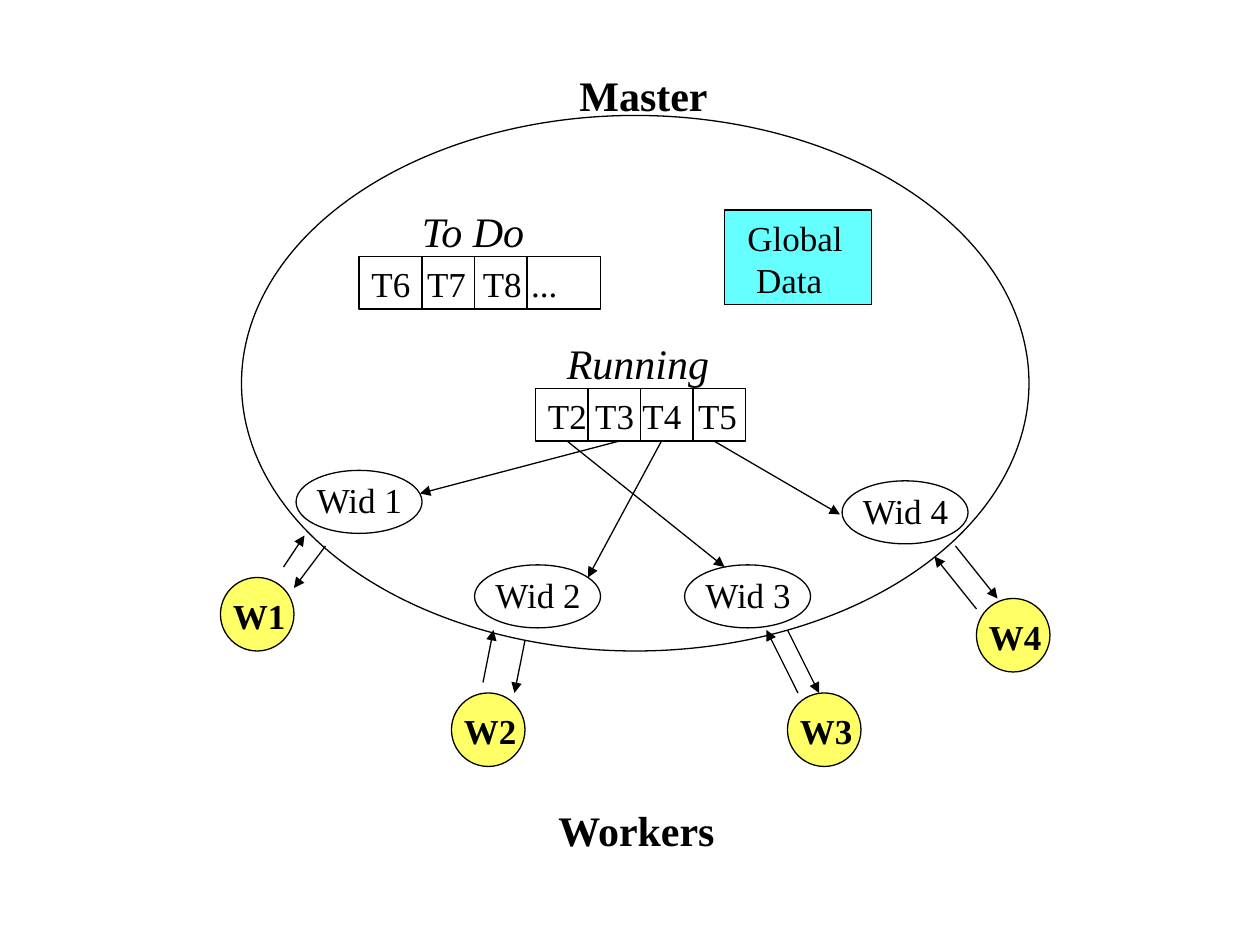
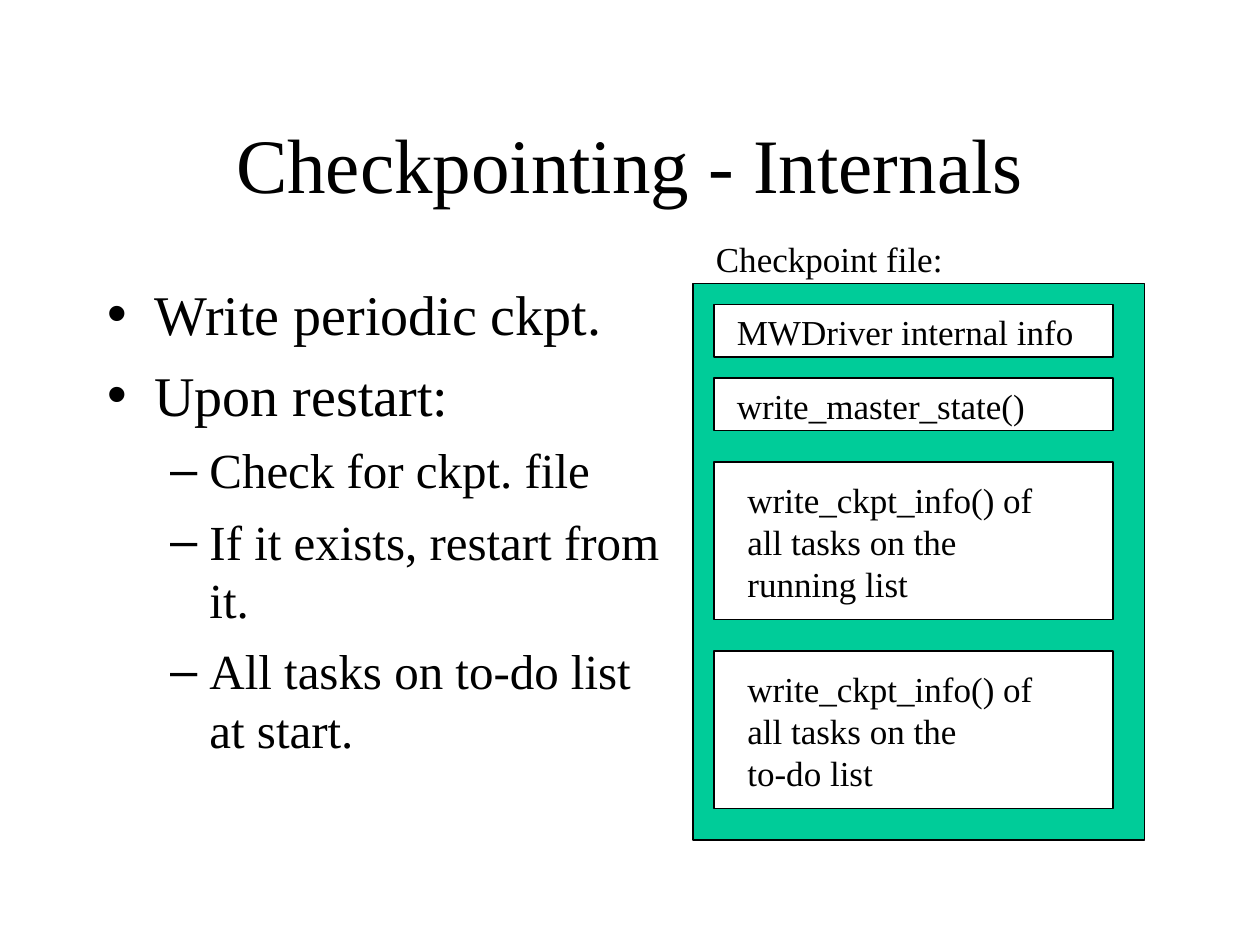
import pptx
import pptx.util
import pptx.dml.color
import pptx.enum.shapes
import pptx.enum.text
import pptx.oxml
import pptx.oxml.ns

BLACK = pptx.dml.color.RGBColor(0x00, 0x00, 0x00)
WHITE = pptx.dml.color.RGBColor(0xFF, 0xFF, 0xFF)
CYAN = pptx.dml.color.RGBColor(0x66, 0xFF, 0xFF)
YELLOW = pptx.dml.color.RGBColor(0xFF, 0xFF, 0x66)
GREEN = pptx.dml.color.RGBColor(0x00, 0xCC, 0x99)
FONT = "Times New Roman"
RECT = pptx.enum.shapes.MSO_SHAPE.RECTANGLE
OVAL = pptx.enum.shapes.MSO_SHAPE.OVAL
LINE_WIDTH = pptx.util.Pt(0.75)


def grid(*cells):
    """Lengths on a grid of twelve cells to the inch: 120 columns, 90 rows."""
    return [pptx.util.Inches(cell / 12) for cell in cells]


def add_run(paragraph, text, size, bold=False, italic=False):
    run = paragraph.add_run()
    run.text = text
    run.font.name = FONT
    run.font.size = pptx.util.Pt(size)
    run.font.bold = bold
    run.font.italic = italic
    run.font.color.rgb = BLACK


def add_label(slide, left, top, width, lines, size=20, **style):
    height = 1.2 + len(lines) * size * 0.2
    label = slide.shapes.add_textbox(*grid(left, top, width, height))
    frame = label.text_frame
    frame.word_wrap = True
    frame.auto_size = pptx.enum.text.MSO_AUTO_SIZE.SHAPE_TO_FIT_TEXT
    for number, line in enumerate(lines):
        paragraph = frame.add_paragraph() if number else frame.paragraphs[0]
        add_run(paragraph, line, size, **style)
    return frame


def add_outline(slide, kind, left, top, width, height, fill=None):
    outline = slide.shapes.add_shape(kind, *grid(left, top, width, height))
    outline.shadow.inherit = False
    if fill is None:
        outline.fill.background()
    else:
        outline.fill.solid()
        outline.fill.fore_color.rgb = fill
    outline.line.color.rgb = BLACK
    outline.line.width = LINE_WIDTH


def add_line(slide, start, end, arrow=False):
    line = slide.shapes.add_connector(
        pptx.enum.shapes.MSO_CONNECTOR.STRAIGHT, *grid(*start, *end))
    line.line.color.rgb = BLACK
    line.line.width = LINE_WIDTH
    if arrow:
        line.line._get_or_add_ln().append(pptx.oxml.parse_xml(
            f'<a:tailEnd {pptx.oxml.ns.nsdecls("a")} type="triangle"/>'))
    line._element.spPr.append(pptx.oxml.parse_xml(
        f'<a:effectLst {pptx.oxml.ns.nsdecls("a")}/>'))


def add_task_list(slide, left, top, width, dividers, tasks, tab_stops):
    """A box split into cells, with one line of tabbed task names."""
    add_outline(slide, RECT, left, top, width, 5)
    for divider in dividers:
        add_line(slide, (left + divider, top), (left + divider, top + 5))
    frame = add_label(slide, left, top, width + 1, ["\t".join(tasks)])
    stops = "".join(f'<a:tab pos="{grid(stop)[0]}" algn="l"/>' for stop in tab_stops)
    frame.paragraphs[0]._p.get_or_add_pPr().append(pptx.oxml.parse_xml(
        f'<a:tabLst {pptx.oxml.ns.nsdecls("a")}>{stops}</a:tabLst>'))


def place(placeholder, *box):
    (placeholder.left, placeholder.top,
     placeholder.width, placeholder.height) = grid(*box)
    placeholder.text_frame.auto_size = pptx.enum.text.MSO_AUTO_SIZE.NONE
    return placeholder.text_frame


def build_master_workers(presentation):
    slide = presentation.slides.add_slide(presentation.slide_layouts[6])

    # Master and its global data
    add_outline(slide, RECT, 69, 20, 14, 9, CYAN)
    add_outline(slide, OVAL, 23, 11, 75, 51)
    add_label(slide, 54, 6, 15, ["Master"], 24, bold=True)
    add_label(slide, 70, 20, 12, ["Global", " Data"])

    # Worker ids inside the master
    for number, (left, top) in enumerate([(29, 45), (46, 54), (66, 54), (81, 46)], 1):
        add_label(slide, left, top, 11, [f"Wid {number}"])
        add_outline(slide, OVAL, left - 0.8, top - 0.2, 12, 6)

    # Workers, each with an arrow to and from the master
    workers = [
        ((21, 55), ((27, 54), (29, 51)), ((31, 52), (28, 56))),
        ((43, 66), ((46, 65), (47, 60)), ((50, 61), (49, 66))),
        ((75, 66), ((76, 66), (73, 60)), ((75, 60), (78, 66))),
        ((93, 57), ((93, 58), (89, 53)), ((91, 52), (95, 57))),
    ]
    for number, ((left, top), to_master, from_master) in enumerate(workers, 1):
        add_outline(slide, OVAL, left, top, 7, 7, YELLOW)
        add_label(slide, left, top + 1, 8, [f"W{number}"], bold=True)
        add_line(slide, *to_master, arrow=True)
        add_line(slide, *from_master, arrow=True)
    add_label(slide, 52, 76, 18, ["Workers"], 24, bold=True)

    # Task lists
    add_label(slide, 39, 19, 13, ["To Do"], 24, italic=True)
    add_task_list(slide, 34.2, 24.45, 23, (6, 11, 16),
                  ("T6", "T7", "T8", "..."), (5.3, 10.6, 15.2))
    add_label(slide, 52.8, 31.55, 16.5, ["Running"], 24, italic=True)
    add_task_list(slide, 51, 37, 20, (5, 10, 15),
                  ("T2", "T3", "T4", "T5"), (4.5, 9, 14.3))

    # Running tasks point to their worker ids
    for column, worker_id in [(54, (69, 54)), (59, (40, 47)),
                              (63, (56, 55)), (68, (80, 49))]:
        add_line(slide, (column, 42), worker_id, arrow=True)


def build_checkpointing(presentation):
    slide = presentation.slides.add_slide(presentation.slide_layouts[1])

    # Title and list
    title = place(slide.shapes.title, 9, 8, 102, 15)
    add_run(title.paragraphs[0], "Checkpointing - Internals", 44)
    steps = [
        (0, "Write periodic ckpt."),
        (0, "Upon restart:"),
        (1, "Check for ckpt. file"),
        (1, "If it exists, restart from it."),
        (1, "All tasks on to-do list at start."),
    ]
    body = place(slide.placeholders[1], 9, 26, 55, 54)
    for number, (level, step) in enumerate(steps):
        paragraph = body.add_paragraph() if number else body.paragraphs[0]
        paragraph.level = level
        paragraph.space_before = pptx.util.Pt(8 - level)
        add_run(paragraph, step, 32 - 4 * level)

    # Checkpoint file and its sections
    add_outline(slide, RECT, 66, 27, 43, 53, GREEN)
    add_label(slide, 67, 22, 25, ["Checkpoint file:"])
    task_info = ["write_ckpt_info() of", "all tasks on the"]
    sections = [
        (29, 5, 35, ["MWDriver internal info"]),
        (36, 5, 31, ["write_master_state()"]),
        (44, 15, 31, task_info + ["running list"]),
        (62, 15, 31, task_info + ["to-do list"]),
    ]
    for top, height, text_width, lines in sections:
        inset = 1 if len(lines) > 1 else 0
        add_outline(slide, RECT, 68, top, 38, height, WHITE)
        add_label(slide, 69 + inset, top + inset, text_width, lines)


def main():
    presentation = pptx.Presentation()
    presentation.slide_width, presentation.slide_height = grid(120, 90)
    build_master_workers(presentation)
    build_checkpointing(presentation)
    presentation.save("out.pptx")


if __name__ == "__main__":
    main()
